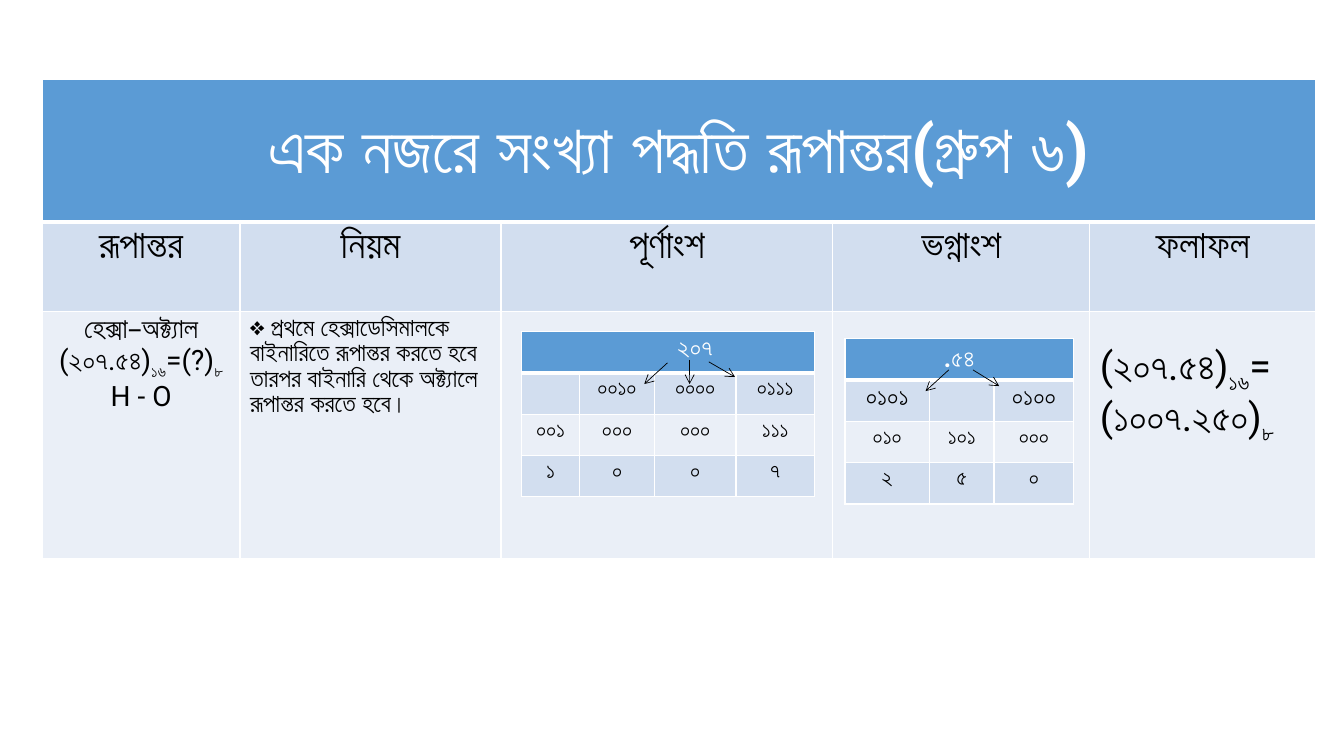
from lxml import etree
from pptx import Presentation
from pptx import util as u
from pptx.dml.color import RGBColor
from pptx.enum import shapes, text
from pptx.oxml import ns

COLORS = {"header": "5B9BD5", "band": "D2DEEF", "pale": "EAEFF7",
          "white": "FFFFFF", "black": "000000"}
FONT = "Roboto"
PX = 9144


class SlideBuilder:
    """Holds the style and the current slide; lengths are px at 100 to the inch."""

    def __init__(self, presentation):
        self.slide = presentation.slides.add_slide(presentation.slide_layouts[6])

    def color(self, name):
        return RGBColor.from_string(COLORS[name])

    def add_borders(self, cell, bottom):
        properties = cell._tc.get_or_add_tcPr()
        for index, side in enumerate("LRTB"):
            width = bottom if side == "B" else 1
            border = etree.Element(ns.qn(f"a:ln{side}"), w=str(u.Pt(width)))
            fill = etree.SubElement(border, ns.qn("a:solidFill"))
            etree.SubElement(fill, ns.qn("a:srgbClr"), val=COLORS["white"])
            properties.insert(index, border)

    def fill_text(self, cell, content, size, color="black", bold=False,
                  align=text.PP_ALIGN.CENTER):
        frame = cell.text_frame
        for index, line in enumerate(content.split("\n")):
            paragraph = frame.add_paragraph() if index else frame.paragraphs[0]
            paragraph.alignment = align
            font = paragraph.font
            font.name, font.size, font.bold = FONT, u.Pt(size), bold
            font.color.rgb = self.color(color)
            for position, piece in enumerate(line.split("_")):
                if piece:
                    run = paragraph.add_run()
                    run.text = piece
                    if position % 2:
                        run._r.get_or_add_rPr().set("baseline", "-25000")

    def add_bullet(self, paragraph, symbol):
        properties = paragraph._p.get_or_add_pPr()
        properties.set("marL", "0")
        properties.set("indent", "0")
        bullet = etree.Element(ns.qn("a:buChar"), char=symbol)
        properties.insert_element_before(bullet, "a:tabLst", "a:defRPr", "a:extLst")

    def add_table(self, left, top, widths, heights, title, title_size):
        frame = self.slide.shapes.add_table(
            len(heights), len(widths), left * PX, top * PX,
            sum(widths) * PX, sum(heights) * PX)
        table = frame.table
        for column, width in zip(table.columns, widths):
            column.width = width * PX
        for index, (row, height) in enumerate(zip(table.rows, heights)):
            row.height = height * PX
            fill = "header" if index == 0 else "band" if index % 2 else "pale"
            for cell in row.cells:
                cell.fill.solid()
                cell.fill.fore_color.rgb = self.color(fill)
                self.add_borders(cell, 1 if index else 3)
        header = table.cell(0, 0)
        header.merge(table.cell(0, len(widths) - 1))
        self.fill_text(header, title, title_size, "white", True)
        return table

    def add_digit_table(self, left, top, widths, title, rows, first_size=16):
        table = self.add_table(left, top, widths, [41] * 4, title, 18)
        for index, row in enumerate(rows, 1):
            for column, digits in enumerate(row):
                self.fill_text(table.cell(index, column), digits,
                               first_size if index == 1 else 16)
        return table

    def add_arrows(self, ends):
        group = self.slide.shapes.add_group_shape()
        for points in ends:
            arrow = group.shapes.add_connector(
                shapes.MSO_CONNECTOR.STRAIGHT, *(value * PX for value in points))
            arrow.line.width = u.Pt(0.5)
            arrow.line.color.rgb = self.color("black")
            properties = arrow._element.spPr
            etree.SubElement(properties.find(ns.qn("a:ln")), ns.qn("a:tailEnd"), type="arrow")
            etree.SubElement(properties, ns.qn("a:effectLst"))


def main():
    presentation = Presentation()
    presentation.slide_width, presentation.slide_height = 1333 * PX, 750 * PX
    builder = SlideBuilder(presentation)

    overview = builder.add_table(42, 79, [196, 259, 329, 255, 224], [141, 89, 245],
                                 "এক নজরে সংখ্যা পদ্ধতি রূপান্তর(গ্রুপ ৬)", 48)
    overview.cell(0, 0).vertical_anchor = text.MSO_ANCHOR.MIDDLE
    headings = ["রূপান্তর", "নিয়ম", "পূর্ণাংশ", "ভগ্নাংশ", "ফলাফল"]
    for column, heading in enumerate(headings):
        builder.fill_text(overview.cell(1, column), heading, 28)
    conversion, rule, result = (overview.cell(2, column) for column in (0, 1, 4))
    builder.fill_text(conversion, "হেক্সা–অক্ট্যাল (২০৭.৫৪)_১৬_=(?)_৮_\nH - O", 20)
    builder.fill_text(rule, " প্রথমে হেক্সাডেসিমালকে বাইনারিতে রূপান্তর করতে হবে "
                      "তারপর বাইনারি থেকে অক্ট্যালে রূপান্তর করতে হবে।",
                      18, align=text.PP_ALIGN.LEFT)
    builder.add_bullet(rule.text_frame.paragraphs[0], "❖")
    builder.fill_text(result, "(২০৭.৫৪)_১৬_=\n(১০০৭.২৫০)_৮_", 28, align=text.PP_ALIGN.LEFT)
    result.margin_top = 33 * PX

    whole = builder.add_digit_table(517, 329, [58, 74, 81, 71], "২০৭", [
        ["", "০০১০", "০০০০", "০১১১"],
        ["০০১", "০০০", "০০০", "১১১"],
        ["১", "০", "০", "৭"]])
    whole.cell(0, 0).margin_left = 64 * PX
    builder.add_digit_table(838, 336, [84, 64, 79], ".৫৪", [
        ["০১০১", "", "০১০০"],
        ["০১০", "১০১", "০০০"],
        ["২", "৫", "০"]], first_size=18)

    builder.add_arrows([(941, 367, 918, 388), (965, 367, 991, 383)])
    builder.add_arrows([(662, 360, 639, 381), (684, 357, 684, 381), (703, 359, 729, 374)])
    presentation.save("out.pptx")


if __name__ == "__main__":
    main()
